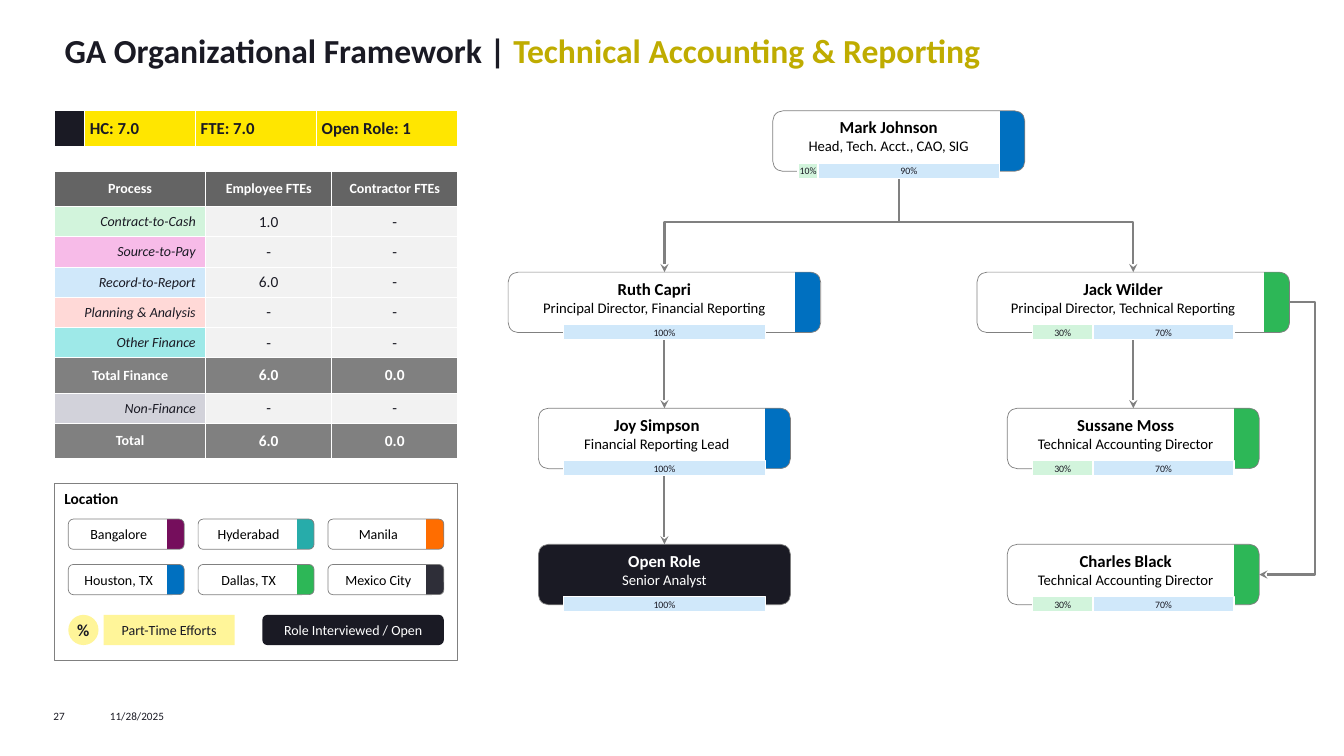
from dataclasses import dataclass
from lxml.etree import SubElement
from pptx import Presentation
from pptx.dml.color import RGBColor as RGB
from pptx.enum.shapes import MSO_CONNECTOR as LINK, MSO_SHAPE as SHAPE
from pptx.enum.text import MSO_ANCHOR as ANCHOR, MSO_AUTO_SIZE as AUTO, PP_ALIGN as ALIGN
from pptx.oxml.ns import qn
from pptx.util import Inches, Pt


@dataclass(frozen=True)
class Theme:
    font: str = "Calibri"
    ink: str = "1A1A24"
    black: str = "000000"
    white: str = "FFFFFF"
    gold: str = "BFAC00"
    yellow: str = "FFE600"
    pale: str = "FFF599"
    head: str = "646464"
    gray: str = "808080"
    light: str = "F2F2F2"
    mint: str = "D2F4DC"
    sky: str = "D0E8FA"
    pink: str = "F7BBE8"
    rose: str = "FFD9D7"
    aqua: str = "9EE9E8"
    mist: str = "D2D2DA"
    blue: str = "0070C0"
    green: str = "2DB757"
    teal: str = "27ACAA"
    orange: str = "FF6D00"
    plum: str = "750E5C"
    slate: str = "2E2E38"
    title: float = 24
    name: float = 12
    cell: float = 11
    role: float = 10.5
    label: float = 10
    foot: float = 8
    tiny: float = 7


T = Theme()
THIN = (0.05, 0.05, 0.05, 0.05)
NONE = (0, 0, 0, 0)
WIDE = (0.1, 0.05, 0.1, 0.05)
SIDES = ("left", "top", "right", "bottom")


def style(item, **values):
    for key, value in values.items():
        setattr(item, key, value)


def inset(item, sizes):
    style(item, **{f"margin_{side}": Inches(size) for side, size in zip(SIDES, sizes)})


def add_run(para, text, size, color, bold=False, italic=False):
    run = para.add_run()
    run.text = text
    style(run.font, name=T.font, size=Pt(size), bold=bold, italic=italic)
    run.font.color.rgb = RGB.from_string(color)


def write(frame, lines, align=ALIGN.CENTER, anchor=ANCHOR.MIDDLE, sizes=THIN, wrap=True):
    style(frame, word_wrap=wrap, auto_size=AUTO.NONE, vertical_anchor=anchor)
    inset(frame, sizes)
    for i, line in enumerate(lines):
        para = frame.add_paragraph() if i else frame.paragraphs[0]
        para.alignment = align
        add_run(para, *line)


def paint(fill, color):
    fill.solid()
    fill.fore_color.rgb = RGB.from_string(color)


def add_box(slide, kind, box, fill=None, line=None, width=0.5, edge=None, split=0.85):
    shape = slide.shapes.add_shape(kind, *map(Inches, box))
    shape.shadow.inherit = False
    if edge:
        shape.fill.gradient()
        shape.fill.gradient_angle = 0
        for stop, color in zip(shape.fill.gradient_stops, (T.white, edge)):
            stop.position = split
            stop.color.rgb = RGB.from_string(color)
    elif fill:
        paint(shape.fill, fill)
    else:
        shape.fill.background()
    if line:
        shape.line.color.rgb = RGB.from_string(line)
        shape.line.width = Pt(width)
    else:
        shape.line.fill.background()
    return shape


def fill_cell(cell, fill, text, size, color, bold=False, italic=False,
              align=ALIGN.CENTER, sizes=THIN):
    props = cell._tc.get_or_add_tcPr()
    for tag in ("a:lnL", "a:lnR", "a:lnT", "a:lnB"):
        side = SubElement(props, qn(tag), w=str(Pt(1)))
        SubElement(SubElement(side, qn("a:solidFill")), qn("a:srgbClr"), val=T.white)
    paint(cell.fill, fill)
    cell.vertical_anchor = ANCHOR.MIDDLE
    inset(cell, sizes if text else NONE)
    if text:
        para = cell.text_frame.paragraphs[0]
        para.alignment = align
        add_run(para, text, size, color, bold, italic)


def add_grid(slide, x, y, cols, rows):
    box = map(Inches, (x, y, sum(cols), sum(rows)))
    table = slide.shapes.add_table(len(rows), len(cols), *box).table
    style(table, first_row=False, horz_banding=False)
    for col, width in zip(table.columns, cols):
        col.width = Inches(width)
    for row, height in zip(table.rows, rows):
        row.height = Inches(height)
    return table


def add_title(slide, box):
    title = slide.shapes.title
    style(title, **dict(zip(("left", "top", "width", "height"), map(Inches, box))))
    write(title.text_frame, [("GA Organizational Framework | ", T.title, T.ink, True)],
          ALIGN.LEFT, ANCHOR.TOP, (0.1, 0.05, 0.1, 0))
    add_run(title.text_frame.paragraphs[0], "Technical Accounting & Reporting",
            T.title, T.gold, True)


def add_counts(slide, x, y):
    table = add_grid(slide, x, y, (0.3, 1.1, 1.2, 1.4), (0.35,))
    for i, text in enumerate(("", "HC: 7.0", "FTE: 7.0", "Open Role: 1")):
        fill_cell(table.cell(0, i), T.yellow if text else T.ink, text,
                  T.name, T.ink, True, align=ALIGN.LEFT)


def add_staff(slide, x, y):
    rows = (("Process", "Employee FTEs", "Contractor FTEs", T.head),
            ("Contract-to-Cash", "1.0", "-", T.mint),
            ("Source-to-Pay", "-", "-", T.pink),
            ("Record-to-Report", "6.0", "-", T.sky),
            ("Planning & Analysis", "-", "-", T.rose),
            ("Other Finance", "-", "-", T.aqua),
            ("Total Finance", "6.0", "0.0", T.gray),
            ("Non-Finance", "-", "-", T.mist),
            ("Total", "6.0", "0.0", T.gray))
    strong = (T.head, T.gray)
    heights = [0.35 if row[3] in strong else 0.3 for row in rows]
    table = add_grid(slide, x, y, (1.5, 1.25, 1.25), heights)
    for r, (*texts, tint) in enumerate(rows):
        for c, text in enumerate(texts):
            cell = table.cell(r, c)
            size = T.cell if r and c else T.label
            if tint in strong:
                fill_cell(cell, tint, text, size, T.white, True)
            else:
                fill_cell(cell, T.light if c else tint, text, size, T.ink, italic=not c,
                          align=ALIGN.CENTER if c else ALIGN.RIGHT, sizes=WIDE)


def add_legend(slide, x, y, w, h):
    frame = add_box(slide, SHAPE.RECTANGLE, (x, y, w, h), line=T.gray, width=0.75)
    write(frame.text_frame, [("Location", T.cell, T.black, True)],
          ALIGN.LEFT, ANCHOR.TOP, WIDE)
    places = (("Bangalore", T.plum), ("Hyderabad", T.teal), ("Manila", T.orange),
              ("Houston, TX", T.blue), ("Dallas, TX", T.green), ("Mexico City", T.slate))
    wide, high = 1.15, 0.3
    gap = (w - 3 * wide) / 4
    for i, (place, edge) in enumerate(places):
        row, col = divmod(i, 3)
        box = (x + gap + col * (wide + gap), y + 0.35 + row * 0.45, wide, high)
        tag = add_box(slide, SHAPE.ROUNDED_RECTANGLE, box, line=T.gray, edge=edge)
        write(tag.text_frame, [(place, T.label, T.black)], sizes=(0.05, 0.05, 0.2, 0.05))
    left, top = x + gap, y + 1.3
    keys = ((SHAPE.OVAL, left, high, T.pale, ("%", T.name, T.ink, True), NONE),
            (SHAPE.RECTANGLE, left + 0.35, 1.3, T.pale,
             ("Part-Time Efforts", T.label, T.ink), THIN),
            (SHAPE.ROUNDED_RECTANGLE, x + w - gap - 1.8, 1.8, T.ink,
             ("Role Interviewed / Open", T.label, T.white), THIN))
    for kind, start, width, fill, line, sizes in keys:
        key = add_box(slide, kind, (start, top, width, high), fill)
        write(key.text_frame, [line], sizes=sizes)


def add_card(slide, x, y, w, name, role, edge, pad):
    split = 1 - 0.25 / w
    card = add_box(slide, SHAPE.ROUNDED_RECTANGLE, (x, y, w, 0.6), T.ink, T.gray,
                   edge=edge, split=split)
    color = T.black if edge else T.white
    write(card.text_frame, [(name, T.name, color, True), (role, T.role, color)],
          sizes=(0.05, 0.05, pad, 0.15))
    return card


def add_bar(slide, x, y, w, share):
    left = x + (w - 2) / 2
    for part, tint in ((share, T.mint), (100 - share, T.sky)):
        if part:
            width = part / 50
            bar = add_box(slide, SHAPE.RECTANGLE, (left, y + 0.52, width, 0.15),
                          tint, T.white, 1)
            write(bar.text_frame, [(f"{part}%", T.tiny, T.ink)], sizes=NONE, wrap=False)
            left += width


def add_link(slide, start, end, kind=LINK.STRAIGHT, sites=(2, 0)):
    link = slide.shapes.add_connector(kind, 0, 0, 0, 0)
    link.begin_connect(start, sites[0])
    link.end_connect(end, sites[1])
    link.line.color.rgb = RGB.from_string(T.gray)
    link.line.width = Pt(1.5)
    props = link.element.spPr
    SubElement(props.find(qn("a:ln")), qn("a:tailEnd"), type="stealth")
    SubElement(props, qn("a:effectLst"))
    return link


def add_branch(slide, start, end):
    link = add_link(slide, start, end, LINK.ELBOW)
    right = link.end_x > link.begin_x
    wide, high = link.width, link.height
    mid, level = link.left + wide // 2, link.top + high // 2
    style(link, left=mid - high // 2, top=level - wide // 2, width=high, height=wide)
    frame = link.element.spPr.find(qn("a:xfrm"))
    frame.set("rot", str((270 if right else 90) * 60000))
    frame.set("flipH", str(int(right)))


def add_loop(slide, start, end):
    link = add_link(slide, start, end, LINK.ELBOW, (3, 3))
    shape = link.element.spPr.find(qn("a:prstGeom"))
    guides = shape.find(qn("a:avLst"))
    if guides is None:
        guides = SubElement(shape, qn("a:avLst"))
    SubElement(guides, qn("a:gd"), name="adj1", fmla="val -83333")


def add_chart(slide, x, y):
    west, east, step = 1.55, 6.2, 1.35
    rows = [y, y + 1.6, y + 1.6 + step, y + 1.6 + 2 * step]
    lead = "Technical Accounting Director"
    people = (
        ((west + east) / 2, 0, 2.5, "Mark Johnson", "Head, Tech. Acct., CAO, SIG", T.blue, 0.25, 10),
        (west, 1, 3.1, "Ruth Capri", "Principal Director, Financial Reporting", T.blue, 0.25, 0),
        (east, 1, 3.1, "Jack Wilder", "Principal Director, Technical Reporting", T.green, 0.25, 30),
        (west, 2, 2.5, "Joy Simpson", "Financial Reporting Lead", T.blue, 0.2, 0),
        (west, 3, 2.5, "Open Role", "Senior Analyst", None, 0.05, 0),
        (east, 2, 2.5, "Sussane Moss", lead, T.green, 0.2, 30),
        (east, 3, 2.5, "Charles Black", lead, T.green, 0.2, 30))
    spots = [(x + mid - w / 2, rows[row], w) for mid, row, w, *_ in people]
    cards = [add_card(slide, *spot, *who[3:7]) for spot, who in zip(spots, people)]
    head, ruth, jack, joy, role, moss, black = cards
    for end in (ruth, jack):
        add_branch(slide, head, end)
    for start, end in ((ruth, joy), (joy, role), (jack, moss)):
        add_link(slide, start, end)
    add_loop(slide, jack, black)
    for spot, who in zip(spots, people):
        add_bar(slide, *spot, who[7])


def add_foot(slide, x, y):
    for text, left, width in (("27", x, 0.56), ("11/28/2025", x + 0.56, 1.4)):
        note = slide.shapes.add_textbox(*map(Inches, (left, y, width, 0.13)))
        write(note.text_frame, [(text, T.foot, T.ink)], ALIGN.LEFT, ANCHOR.TOP, NONE)


def main():
    deck = Presentation()
    style(deck, slide_width=Inches(13.33), slide_height=Inches(7.5))
    slide = deck.slides.add_slide(deck.slide_layouts[5])
    add_title(slide, (0.54, 0.25, 12.25, 0.6))
    add_counts(slide, 0.54, 1.1)
    add_staff(slide, 0.54, 1.7)
    add_legend(slide, 0.54, 4.8, 4, 1.75)
    add_chart(slide, 5.04, 1.1)
    add_foot(slide, 0.53, 7.04)
    deck.save("out.pptx")


if __name__ == "__main__":
    main()
